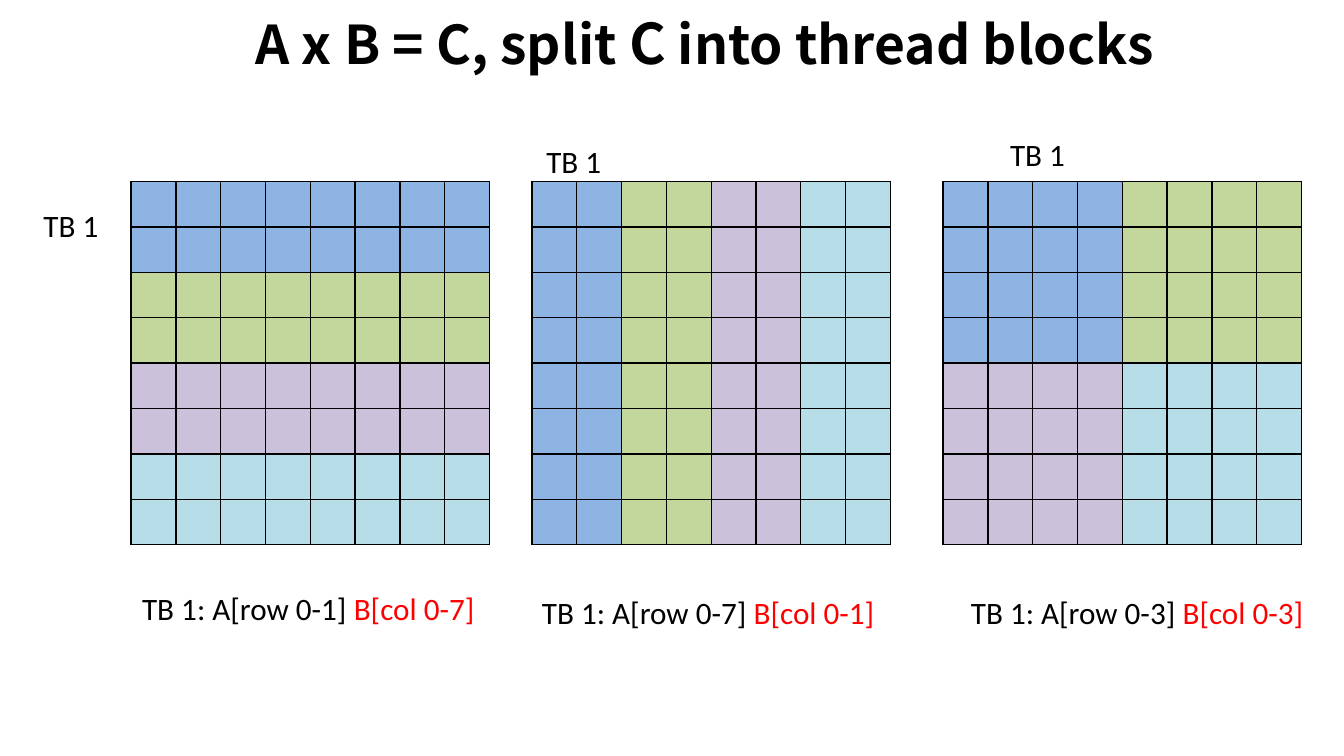
import pptx
import pptx.dml.color
import pptx.enum.text
import pptx.oxml
import pptx.oxml.ns
import pptx.util
from pptx.dml.color import RGBColor
from pptx.util import Inches

BLACK = RGBColor(0x00, 0x00, 0x00)
RED = RGBColor(0xFF, 0x00, 0x00)
BLUE = RGBColor(0x8E, 0xB4, 0xE3)
GREEN = RGBColor(0xC3, 0xD6, 0x9B)
PURPLE = RGBColor(0xCC, 0xC1, 0xDA)
TEAL = RGBColor(0xB7, 0xDE, 0xE8)
BLOCK_COLORS = (BLUE, GREEN, PURPLE, TEAL)

MATRIX_SIZE = 8
MATRIX_WIDTH = 3.2
MATRIX_TOP = 1.62
LABEL_WIDTH = 0.7
CAPTION_WIDTH = 3.19
TEXT_HEIGHT = 0.44


def add_run(para, text, font_name, size, color, bold=False):
    span = para.add_run()
    span.text = text
    span.font.name = font_name
    span.font.size = pptx.util.Pt(size)
    span.font.bold = bold
    span.font.color.rgb = color


def add_title(slide):
    title = slide.shapes.title
    title.left, title.top = Inches(1.01), Inches(-0.05)
    title.width, title.height = Inches(10.68), Inches(0.85)
    frame = title.text_frame
    frame.word_wrap = True
    frame.auto_size = pptx.enum.text.MSO_AUTO_SIZE.NONE
    frame.vertical_anchor = pptx.enum.text.MSO_ANCHOR.MIDDLE
    frame.margin_left = frame.margin_right = Inches(0.12)
    frame.margin_top = frame.margin_bottom = Inches(0.06)
    para = frame.paragraphs[0]
    para.alignment = pptx.enum.text.PP_ALIGN.CENTER
    for text, size in (
        ("A x B = C, split ", 34.3),
        ("C", 36),
        (" into thread blocks ", 34.3),
    ):
        add_run(para, text, "Noto Sans CJK SC", size, BLACK, bold=True)


def add_text(slide, left, top, width, runs):
    box = slide.shapes.add_textbox(
        Inches(left), Inches(top), Inches(width), Inches(TEXT_HEIGHT)
    )
    frame = box.text_frame
    frame.word_wrap = False
    frame.auto_size = pptx.enum.text.MSO_AUTO_SIZE.SHAPE_TO_FIT_TEXT
    for text, color in runs:
        add_run(frame.paragraphs[0], text, "Calibri", 20, color)


def add_borders(cell):
    properties = cell._tc.get_or_add_tcPr()
    for side in ("lnL", "lnR", "lnT", "lnB"):
        properties.append(pptx.oxml.parse_xml(
            f'<a:{side} {pptx.oxml.ns.nsdecls("a")} w="12700">'
            f'<a:solidFill><a:srgbClr val="{BLACK}"/></a:solidFill></a:{side}>'
        ))


def add_matrix(slide, left, height, block_rows, block_columns):
    """Draw a square matrix whose thread blocks are coloured in reading order."""
    table = slide.shapes.add_table(
        MATRIX_SIZE, MATRIX_SIZE, Inches(left), Inches(MATRIX_TOP),
        Inches(MATRIX_WIDTH), Inches(height),
    ).table
    table.first_row = False
    table.horz_banding = False
    blocks_across = MATRIX_SIZE // block_columns
    for row in range(MATRIX_SIZE):
        for column in range(MATRIX_SIZE):
            block = row // block_rows * blocks_across + column // block_columns
            cell = table.cell(row, column)
            add_borders(cell)
            cell.fill.solid()
            cell.fill.fore_color.rgb = BLOCK_COLORS[block]


def main():
    deck = pptx.Presentation()
    deck.slide_width, deck.slide_height = Inches(12), Inches(6.75)
    slide = deck.slides.add_slide(deck.slide_layouts[5])
    add_title(slide)

    # left, height, rows and columns in each block
    for matrix in ((1.17, 3, 2, 8), (4.75, 3.2, 8, 2), (8.42, 3.2, 4, 4)):
        add_matrix(slide, *matrix)

    for left, top in ((0.29, 1.79), (4.78, 1.22), (8.92, 1.16)):
        add_text(slide, left, top, LABEL_WIDTH, [("TB 1", BLACK)])

    for left, top, last_row, last_column in (
        (1.17, 5.21, 1, 7),
        (4.74, 5.25, 7, 1),
        (8.57, 5.25, 3, 3),
    ):
        add_text(slide, left, top, CAPTION_WIDTH, [
            (f"TB 1: A[row 0-{last_row}] ", BLACK),
            (f"B[col 0-{last_column}]", RED),
        ])

    deck.save("out.pptx")


if __name__ == "__main__":
    main()
